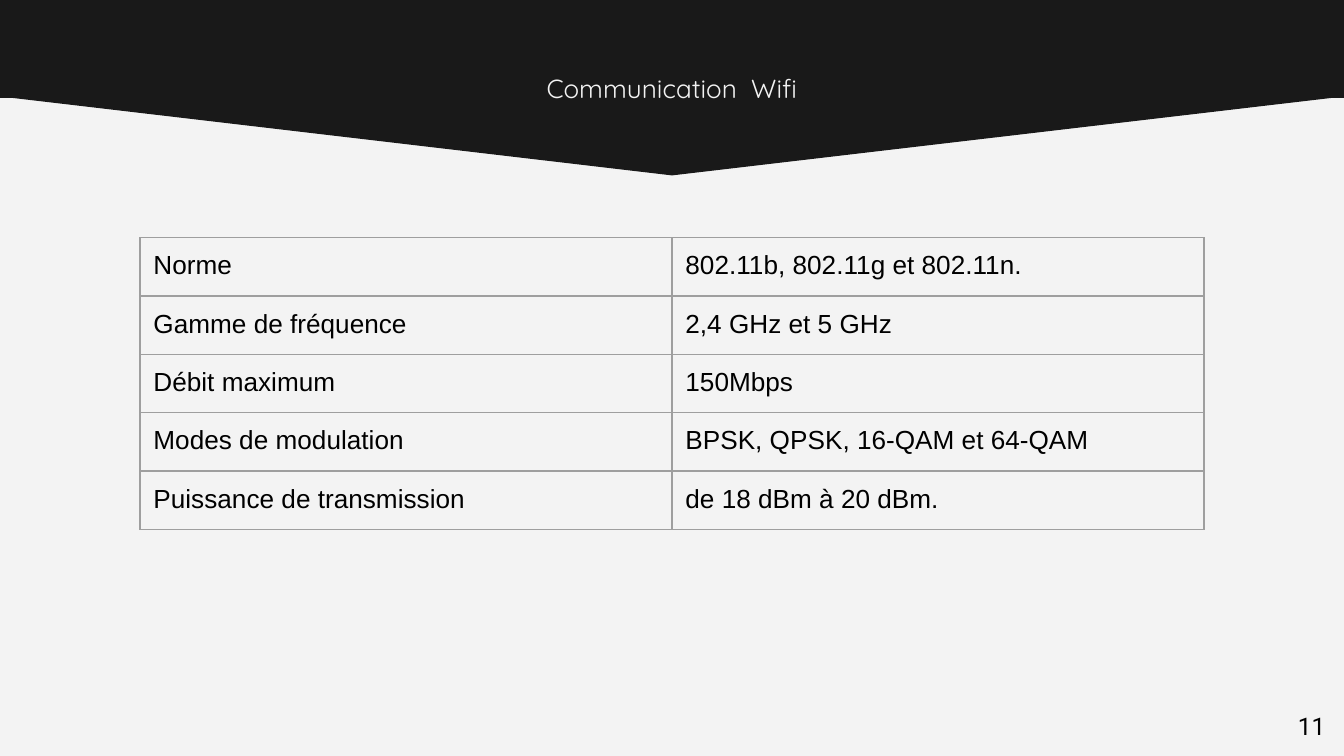
from lxml.etree import SubElement
from pptx import Presentation
from pptx.dml.color import RGBColor
from pptx.enum.shapes import MSO_SHAPE as Preset
from pptx.enum.text import PP_ALIGN as Align
from pptx.oxml.ns import qn
from pptx.util import Pt

TITLE = "Communication  Wifi"
PAGE_NUMBER = "11"
WIFI_FEATURES = [
    ("Norme", "802.11b, 802.11g et 802.11n."),
    ("Gamme de fréquence", "2,4 GHz et 5 GHz"),
    ("Débit maximum", "150Mbps"),
    ("Modes de modulation", "BPSK, QPSK, 16-QAM et 64-QAM"),
    ("Puissance de transmission", "de 18 dBm à 20 dBm."),
]

DARK, LIGHT, BLACK, GREY = "191919", "F3F3F3", "000000", "9E9E9E"
WIDTH, HEIGHT = 720, 405
COLUMN_WIDTH, ROW_HEIGHT, TABLE_TOP = 285, 30, 127.4
INSET = 7.2
LINE_WIDTH = 0.75


def color(value):
    return RGBColor.from_string(value)


def set_insets(target):
    target.margin_left = target.margin_right = Pt(INSET)
    target.margin_top = target.margin_bottom = Pt(INSET)


def format_text(text_frame, size, font_name, font_color, align):
    paragraph = text_frame.paragraphs[0]
    paragraph.alignment = align
    font = paragraph.runs[0].font
    font.size, font.name, font.bold = Pt(size), font_name, False
    font.color.rgb = color(font_color)


def add_banner_part(slide, preset, top, height, rotation=0):
    overhang = 0.9
    shape = slide.shapes.add_shape(
        preset, Pt(-overhang), Pt(top), Pt(WIDTH + 2 * overhang), Pt(height))
    shape.rotation = rotation
    shape.shadow.inherit = False
    shape.fill.solid()
    shape.fill.fore_color.rgb = color(DARK)
    shape.line.color.rgb = color(DARK)
    shape.line.width = Pt(LINE_WIDTH)


def add_text(slide, text, box, *style):
    text_frame = slide.shapes.add_textbox(*map(Pt, box)).text_frame
    text_frame.word_wrap = True
    set_insets(text_frame)
    text_frame.text = text
    format_text(text_frame, *style)


def add_borders(cell):
    properties = cell._tc.get_or_add_tcPr()
    for side in ("lnL", "lnR", "lnT", "lnB"):
        line = SubElement(properties, qn(f"a:{side}"), w=str(Pt(LINE_WIDTH)))
        fill = SubElement(line, qn("a:solidFill"))
        SubElement(fill, qn("a:srgbClr"), val=GREY)


def add_feature_table(slide):
    rows, columns = len(WIFI_FEATURES), len(WIFI_FEATURES[0])
    table_width = columns * COLUMN_WIDTH
    table = slide.shapes.add_table(
        rows, columns, Pt((WIDTH - table_width) / 2), Pt(TABLE_TOP),
        Pt(table_width), Pt(rows * ROW_HEIGHT)).table
    table.first_row = table.horz_banding = False
    for row, texts in zip(table.rows, WIFI_FEATURES):
        for cell, text in zip(row.cells, texts):
            cell.text = text
            set_insets(cell)
            add_borders(cell)
            cell.fill.background()
            format_text(cell.text_frame, 14, "Arial", BLACK, Align.LEFT)


def main():
    presentation = Presentation()
    presentation.slide_width, presentation.slide_height = Pt(WIDTH), Pt(HEIGHT)
    slide = presentation.slides.add_slide(presentation.slide_layouts[6])
    slide.background.fill.solid()
    slide.background.fill.fore_color.rgb = color(LIGHT)
    add_banner_part(slide, Preset.ISOSCELES_TRIANGLE, 51.2, 42.4, 180)
    add_banner_part(slide, Preset.RECTANGLE, -15.4, 67.6)
    add_text(slide, TITLE, (242.6, 31.6, 234.8, 54),
             14, "Quicksand", LIGHT, Align.CENTER)
    add_text(slide, PAGE_NUMBER, (673.8, 373.8, 43.2, 31),
             13, "Roboto", BLACK, Align.RIGHT)
    add_feature_table(slide)
    presentation.save("out.pptx")


if __name__ == "__main__":
    main()
